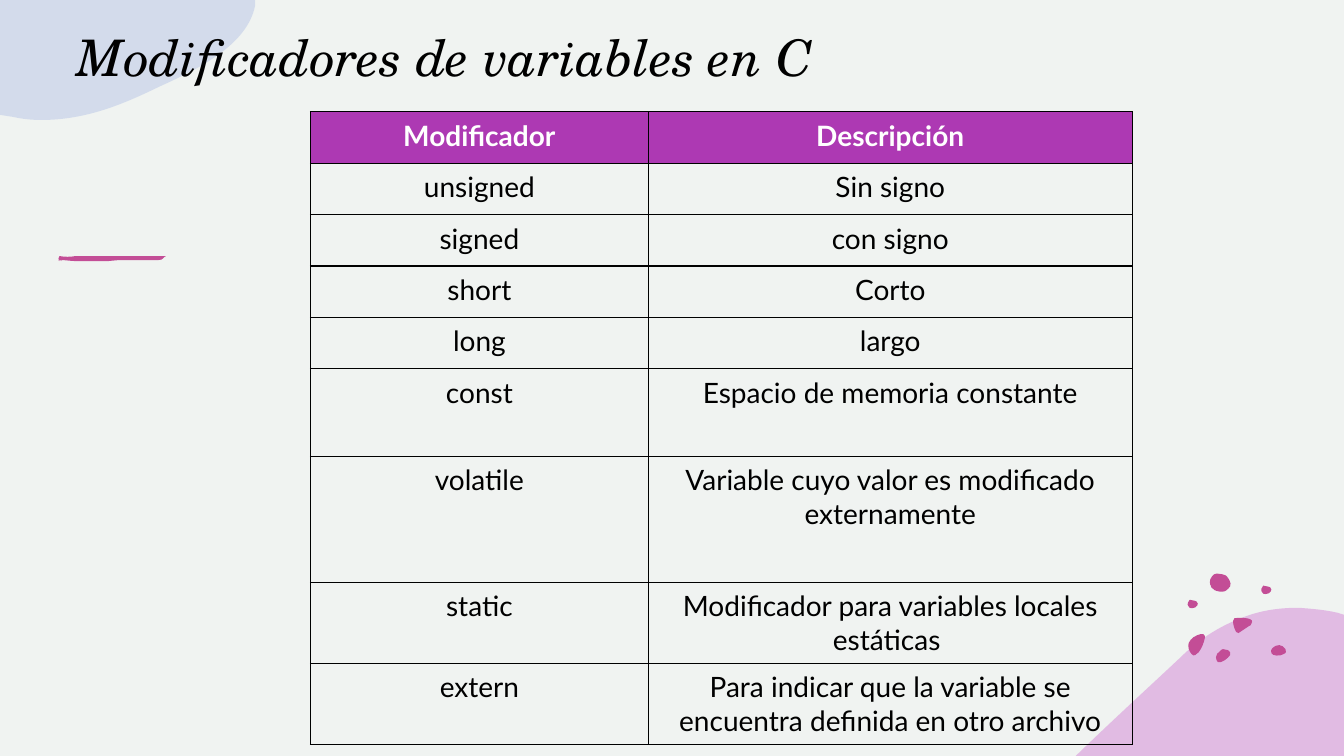
import pptx
import pptx.dml.color
import pptx.enum.text
import pptx.oxml
import pptx.oxml.ns
import pptx.util
from pptx.util import Inches

BLACK, WHITE, PINK = "000000", "FFFFFF", "C34D96"
HEADER = "AD39B3"

ROWS = [
    ("Modificador", "Descripción", 0.51),
    ("unsigned", "Sin signo", 0.51),
    ("signed", "con signo", 0.51),
    ("short", "Corto", 0.51),
    ("long", "largo", 0.51),
    ("const", "Espacio de memoria constante", 0.87),
    ("volatile", "Variable cuyo valor es modificado externamente", 1.25),
    ("static", "Modificador para variables locales estáticas ", 0.72),
    ("extern", "Para indicar que la variable se encuentra definida en otro archivo", 0.71),
]

HILL = [(12.88, 6.03), (13.01, 6.04, 13.14, 6.05, 13.27, 6.08), (13.33, 6.1),
        (13.33, 7.5), (10.67, 7.5), (10.68, 7.49),
        (11.02, 7.16, 11.37, 6.84, 11.69, 6.54),
        (11.91, 6.32, 12.14, 6.19, 12.37, 6.11),
        (12.54, 6.05, 12.71, 6.03, 12.88, 6.03)]
CLOUD = [(0, 0), (2.53, 0), (2.53, 0.06), (2.45, 0.44, 2, 0.67, 1.58, 0.86),
         (1.23, 1.03, 0.86, 1.19, 0.41, 1.19),
         (0.31, 1.19, 0.22, 1.18, 0.13, 1.16), (0, 1.14)]
SMALL_DOT = [(12.51, 5.86), (12.51, 5.86, 12.51, 5.82, 12.53, 5.81),
             (12.55, 5.81, 12.56, 5.81, 12.58, 5.82),
             (12.59, 5.82, 12.61, 5.83, 12.61, 5.85),
             (12.61, 5.86, 12.6, 5.88, 12.59, 5.88),
             (12.59, 5.88, 12.59, 5.89, 12.57, 5.89),
             (12.56, 5.89, 12.54, 5.9, 12.53, 5.89),
             (12.52, 5.87, 12.51, 5.87, 12.51, 5.86)]
DOTS = [
    [(12.13, 6.44), (12.15, 6.44, 12.16, 6.44, 12.18, 6.45),
     (12.2, 6.46, 12.21, 6.48, 12.2, 6.5),
     (12.18, 6.53, 12.12, 6.58, 12.08, 6.57),
     (12.07, 6.56, 12.06, 6.54, 12.06, 6.52),
     (12.06, 6.5, 12.08, 6.47, 12.1, 6.46),
     (12.11, 6.45, 12.12, 6.44, 12.13, 6.44)],
    [(11.91, 6.29), (11.93, 6.29, 11.95, 6.29, 11.95, 6.31),
     (11.95, 6.32, 11.95, 6.32, 11.95, 6.33),
     (11.94, 6.38, 11.92, 6.43, 11.89, 6.47),
     (11.87, 6.49, 11.84, 6.52, 11.82, 6.49),
     (11.79, 6.46, 11.78, 6.41, 11.79, 6.38),
     (11.8, 6.35, 11.82, 6.34, 11.84, 6.32),
     (11.85, 6.32, 11.88, 6.29, 11.91, 6.29)],
    [(12.69, 6.4), (12.71, 6.4, 12.74, 6.42, 12.75, 6.44),
     (12.76, 6.46, 12.76, 6.48, 12.73, 6.49),
     (12.7, 6.51, 12.62, 6.51, 12.61, 6.48),
     (12.6, 6.46, 12.61, 6.44, 12.62, 6.43),
     (12.64, 6.41, 12.66, 6.4, 12.69, 6.4)],
    [(12.01, 5.81), (12, 5.81, 11.99, 5.75, 12.02, 5.72),
     (12.04, 5.7, 12.04, 5.69, 12.07, 5.69),
     (12.1, 5.69, 12.14, 5.7, 12.16, 5.71),
     (12.18, 5.73, 12.22, 5.78, 12.2, 5.82),
     (12.17, 5.85, 12.16, 5.87, 12.12, 5.87),
     (12.09, 5.87, 12.04, 5.86, 12.03, 5.84),
     (12.01, 5.83, 12.01, 5.82, 12.01, 5.81)],
    [(12.28, 6.13), (12.34, 6.13, 12.45, 6.13, 12.41, 6.19),
     (12.41, 6.2, 12.4, 6.21, 12.39, 6.21),
     (12.36, 6.23, 12.33, 6.25, 12.3, 6.27),
     (12.29, 6.28, 12.28, 6.29, 12.26, 6.27),
     (12.24, 6.23, 12.23, 6.2, 12.23, 6.16),
     (12.23, 6.13, 12.25, 6.13, 12.28, 6.13)],
]
SPECK = [(0, 0), (0.01, 0), (0.01, 0.01)]
SPECK_PLACES = [(0.58, 2.58), (0.6, 2.58), (1.63, 2.54)]
STROKE = [(0.59, 2.54), (0.64, 2.55, 0.7, 2.55, 0.75, 2.54), (0.88, 2.54),
          (1.11, 2.54), (1.64, 2.54), (1.61, 2.55, 1.63, 2.58, 1.57, 2.58),
          (1.18, 2.58), (1.07, 2.59), (0.75, 2.59),
          (0.71, 2.59, 0.65, 2.58, 0.6, 2.58),
          (0.57, 2.59, 0.58, 2.55, 0.59, 2.54)]


def set_fill(fill, color, alpha=None):
    fill.solid()
    fill.fore_color.rgb = pptx.dml.color.RGBColor.from_string(color)
    if alpha is not None:
        clr = fill._xPr.find(".//" + pptx.oxml.ns.qn("a:srgbClr"))
        clr.append(pptx.oxml.parse_xml(
            f'<a:alpha {pptx.oxml.ns.nsdecls("a")} val="{alpha * 1000}"/>'))


def set_text(tf, text, size=20, font="Lato", color=BLACK, bold=False,
             italic=False, align="CENTER"):
    p = tf.paragraphs[0]
    p.alignment = pptx.enum.text.PP_ALIGN[align]
    r = p.add_run()
    r.text = text
    r.font.size = pptx.util.Pt(size)
    r.font.name = font
    r.font.bold = bold
    r.font.italic = italic
    set_fill(r.font.fill, color)


def set_margins(box):
    box.margin_left = box.margin_right = Inches(2 / 15)
    box.margin_top = box.margin_bottom = Inches(1 / 15)


def bend_lines(sp, segments):
    lines = iter(list(sp._element.iter(pptx.oxml.ns.qn("a:lnTo"))))
    for seg in segments[1:]:
        first = next(lines)
        if len(seg) == 6:
            curve = pptx.oxml.parse_xml(f'<a:cubicBezTo {pptx.oxml.ns.nsdecls("a")}/>')
            first.addprevious(curve)
            for line in (first, next(lines), next(lines)):
                curve.append(line[0])
                line.getparent().remove(line)


def add_blob(s, segments, color, alpha=None, dx=0, dy=0):
    pts = [(Inches(seg[k] + dx), Inches(seg[k + 1] + dy))
           for seg in segments for k in range(0, len(seg), 2)]
    builder = s.shapes.build_freeform(*pts[0])
    builder.add_line_segments(pts[1:], close=True)
    sp = builder.convert_to_shape()
    bend_lines(sp, segments)
    sp.shadow.inherit = False
    sp.line.fill.background()
    set_fill(sp.fill, color, alpha)


def add_title(s, text):
    sp = s.shapes.title
    s.shapes._spTree.append(sp._element)
    sp.left, sp.top = Inches(0.63), Inches(-0.54)
    sp.width, sp.height = Inches(11.89), Inches(1.47)
    tf = sp.text_frame
    tf.word_wrap = True
    tf.auto_size = pptx.enum.text.MSO_AUTO_SIZE.NONE
    tf.vertical_anchor = pptx.enum.text.MSO_ANCHOR.BOTTOM
    set_margins(tf)
    set_text(tf, text, size=36, font="TeX Gyre Schola", italic=True, align="LEFT")


def add_borders(cell, color):
    tc_pr = cell._tc.get_or_add_tcPr()
    for side in "LRTB":
        tc_pr.append(pptx.oxml.parse_xml(
            f'<a:ln{side} {pptx.oxml.ns.nsdecls("a")} w="12700"><a:solidFill>'
            f'<a:srgbClr val="{color}"/></a:solidFill></a:ln{side}>'))


def add_modifier_table(s, rows):
    frame = s.shapes.add_table(len(rows), 2, Inches(3.08), Inches(1.11),
                               Inches(8.15), Inches(sum(row[2] for row in rows)))
    table = frame.table
    table.first_row = table.horz_banding = False
    table.columns[0].width, table.columns[1].width = Inches(3.35), Inches(4.8)
    for i, (name, description, height) in enumerate(rows):
        table.rows[i].height = Inches(height)
        header = i == 0
        for j, text in enumerate((name, description)):
            cell = table.cell(i, j)
            set_margins(cell)
            add_borders(cell, BLACK)
            if header:
                set_fill(cell.fill, HEADER)
            else:
                cell.fill.background()
            set_text(cell.text_frame, text, color=WHITE if header else BLACK, bold=header)


def main():
    prs = pptx.Presentation()
    prs.slide_width, prs.slide_height = Inches(13.33), Inches(7.5)
    s = prs.slides.add_slide(prs.slide_layouts[5])
    set_fill(s.background.fill, "F0F3F1")
    add_blob(s, HILL, "D384D6", alpha=50)
    for dot in DOTS + [SMALL_DOT]:
        add_blob(s, dot, PINK)
    add_blob(s, SMALL_DOT, PINK, dx=-0.73, dy=0.14)
    add_blob(s, CLOUD, "B8C5E7", alpha=50)
    for x, y in SPECK_PLACES:
        add_blob(s, SPECK, PINK, dx=x, dy=y)
    add_blob(s, STROKE, PINK)
    add_title(s, "Modificadores de variables en C")
    add_modifier_table(s, ROWS)
    prs.save("out.pptx")


if __name__ == "__main__":
    main()
